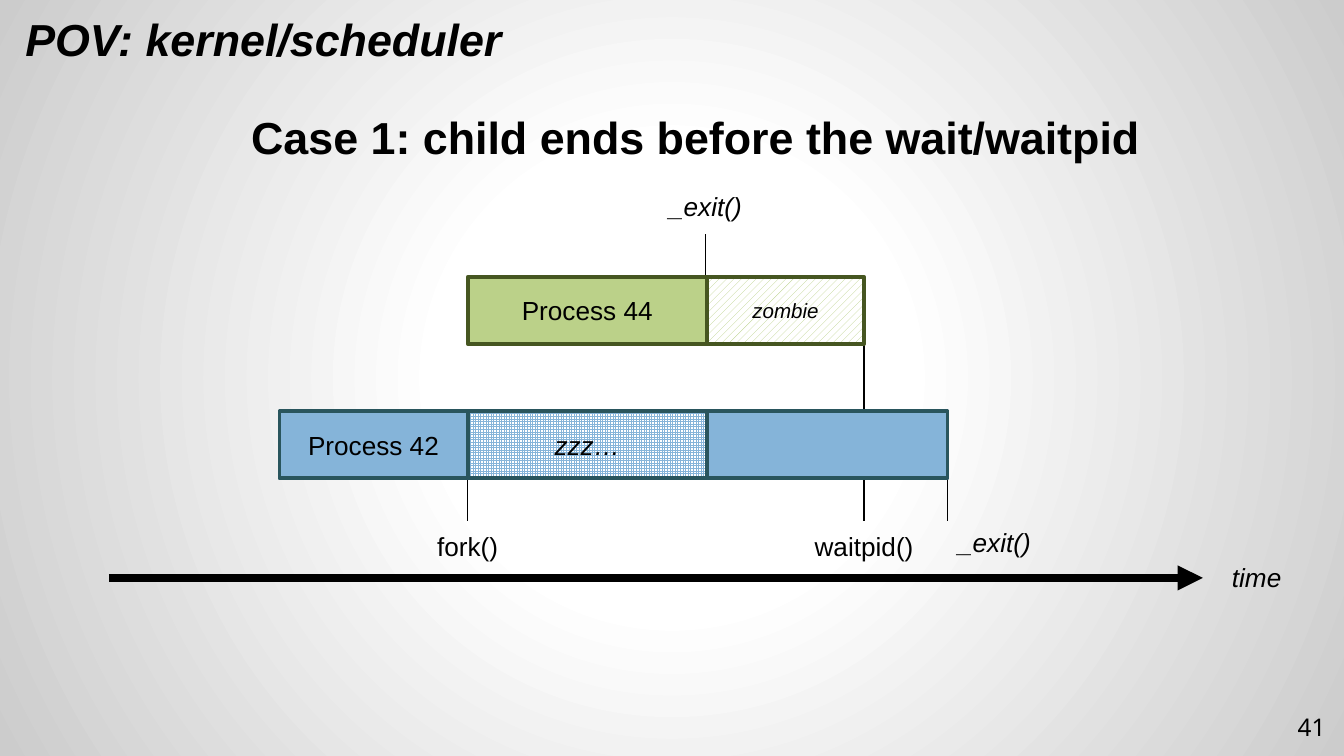
from lxml import etree
from pptx import Presentation
from pptx.dml.color import RGBColor
from pptx.enum.dml import MSO_PATTERN
from pptx.enum.shapes import MSO_CONNECTOR, MSO_SHAPE
from pptx.enum.text import MSO_ANCHOR, PP_ALIGN
from pptx.oxml import parse_xml
from pptx.oxml.ns import nsdecls, qn
from pptx.util import Inches, Pt

LEFT, CENTER, RIGHT = PP_ALIGN.LEFT, PP_ALIGN.CENTER, PP_ALIGN.RIGHT
MIDDLE = MSO_ANCHOR.MIDDLE
DIAGONAL = MSO_PATTERN.WIDE_UPWARD_DIAGONAL
GRID = MSO_PATTERN.SMALL_GRID

COLORS = {
    "black": "000000",
    "white": "FFFFFF",
    "edge": "CCCCCC",
    "child": "BBD189",
    "child_line": "465621",
    "parent": "85B4D9",
    "parent_line": "29555D",
}

# Moments on the time axis, and the rows of the two processes
START, FORK, CHILD_EXIT, WAITPID, PARENT_EXIT = 2.08, 3.48, 5.26, 6.43, 7.05
CHILD_TOP, PARENT_TOP, BAR_HEIGHT = 2.06, 3.06, 0.5
TICK_END = 3.88
LABEL_HEIGHT = 0.34


def rgb(name):
    return RGBColor.from_string(COLORS[name])


def set_background(slide):
    """Fill the background with a circular gradient, white in the middle."""
    stops = "".join(
        f'<a:gs pos="{pos * 1000}"><a:srgbClr val="{COLORS[name]}"/></a:gs>'
        for pos, name in [(0, "white"), (30, "white"), (100, "edge")])
    bg = parse_xml(
        f'<p:bg {nsdecls("p", "a")}><p:bgPr><a:gradFill><a:gsLst>{stops}</a:gsLst>'
        '<a:path path="circle">'
        '<a:fillToRect l="50000" t="50000" r="50000" b="50000"/></a:path>'
        '</a:gradFill><a:effectLst/></p:bgPr></p:bg>')
    slide.element.cSld.insert(0, bg)


def write(tf, text, size, align=CENTER, bold=False, italic=False, font="Arial"):
    tf.word_wrap = True
    p = tf.paragraphs[0]
    p.alignment = align
    r = p.add_run()
    r.text = text
    r.font.name = font
    r.font.size = Pt(size)
    r.font.bold = bold
    r.font.italic = italic
    r.font.color.rgb = rgb("black")


def add_text(slide, x, y, w, h, text, size, **style):
    box = slide.shapes.add_textbox(Inches(x), Inches(y), Inches(w), Inches(h))
    write(box.text_frame, text, size, **style)
    return box


def add_label(slide, center, y, w, text, italic=False):
    add_text(slide, center - w / 2, y, w, LABEL_HEIGHT, text, 14, italic=italic)


def add_line(slide, x1, y1, x2, y2, width=0.75, arrow=False):
    line = slide.shapes.add_connector(
        MSO_CONNECTOR.STRAIGHT, Inches(x1), Inches(y1), Inches(x2), Inches(y2))
    line.line.color.rgb = rgb("black")
    line.line.width = Pt(width)
    if arrow:
        ln = line.line._get_or_add_ln()
        etree.SubElement(ln, qn("a:tailEnd"), type="triangle")
    etree.SubElement(line._element.spPr, qn("a:effectLst"))


def add_bar(slide, start, end, top, color, text="", size=14, italic=False,
            pattern=None):
    """Draw one phase of a process between two moments."""
    sp = slide.shapes.add_shape(
        MSO_SHAPE.RECTANGLE, Inches(start), Inches(top),
        Inches(end - start), Inches(BAR_HEIGHT))
    sp.shadow.inherit = False
    if pattern is None:
        sp.fill.solid()
    else:
        sp.fill.patterned()
        sp.fill.pattern = pattern
        sp.fill.back_color.rgb = rgb("white")
    sp.fill.fore_color.rgb = rgb(color)
    sp.line.color.rgb = rgb(color + "_line")
    sp.line.width = Pt(2)
    if text:
        sp.text_frame.vertical_anchor = MIDDLE
        write(sp.text_frame, text, size, italic=italic)


def add_page_number(slide, number):
    box = add_text(slide, 9.36, 5.19, 0.6, 0.43, number, 13,
                   align=RIGHT, font="Noto Sans")
    tf = box.text_frame
    tf.vertical_anchor = MIDDLE
    tf.margin_top = tf.margin_bottom = Inches(0.1)


def main():
    prs = Presentation()
    prs.slide_width = Inches(10)
    prs.slide_height = prs.slide_width * 9 // 16
    slide = prs.slides.add_slide(prs.slide_layouts[6])
    set_background(slide)

    add_page_number(slide, "41")
    add_text(slide, 0.09, 0.04, 5.23, 0.5, "POV: kernel/scheduler", 24,
             align=LEFT, bold=True, italic=True)
    add_text(slide, 1.77, 0.77, 7.11, 0.5,
             "Case 1: child ends before the wait/waitpid", 24,
             align=LEFT, bold=True)

    add_line(slide, 0.81, 4.3, 8.95, 4.3, width=4.5, arrow=True)
    add_label(slide, 9.35, 4.13, 0.99, "time", italic=True)

    add_line(slide, 5.25, CHILD_TOP, 5.25, 1.74)
    add_label(slide, 5.25, 1.37, 1.83, "_exit()", italic=True)
    add_line(slide, WAITPID, CHILD_TOP, WAITPID, TICK_END)
    add_label(slide, WAITPID, 3.9, 1.46, "waitpid()")
    add_bar(slide, CHILD_EXIT, WAITPID, CHILD_TOP, "child", "zombie", 11,
            italic=True, pattern=DIAGONAL)
    add_bar(slide, FORK, CHILD_EXIT, CHILD_TOP, "child", "Process 44")

    add_line(slide, FORK, PARENT_TOP, FORK, TICK_END)
    add_label(slide, FORK, 3.9, 1.46, "fork()")
    add_bar(slide, START, FORK, PARENT_TOP, "parent", "Process 42")
    add_bar(slide, FORK, CHILD_EXIT, PARENT_TOP, "parent", "zzz…",
            italic=True, pattern=GRID)
    add_line(slide, PARENT_EXIT, PARENT_TOP, PARENT_EXIT, TICK_END)
    add_label(slide, 7.4, 3.87, 1.46, "_exit()", italic=True)
    add_bar(slide, CHILD_EXIT, PARENT_EXIT, PARENT_TOP, "parent")

    prs.save("out.pptx")


if __name__ == "__main__":
    main()
